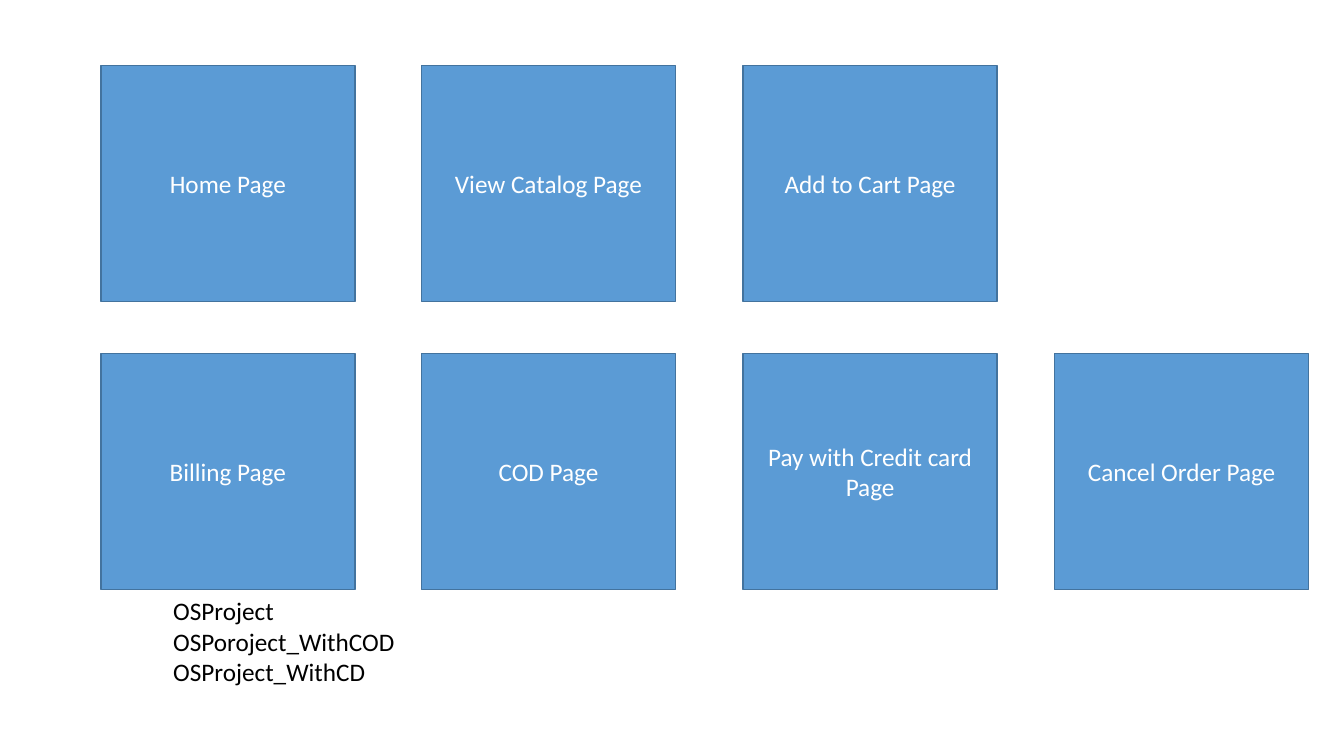
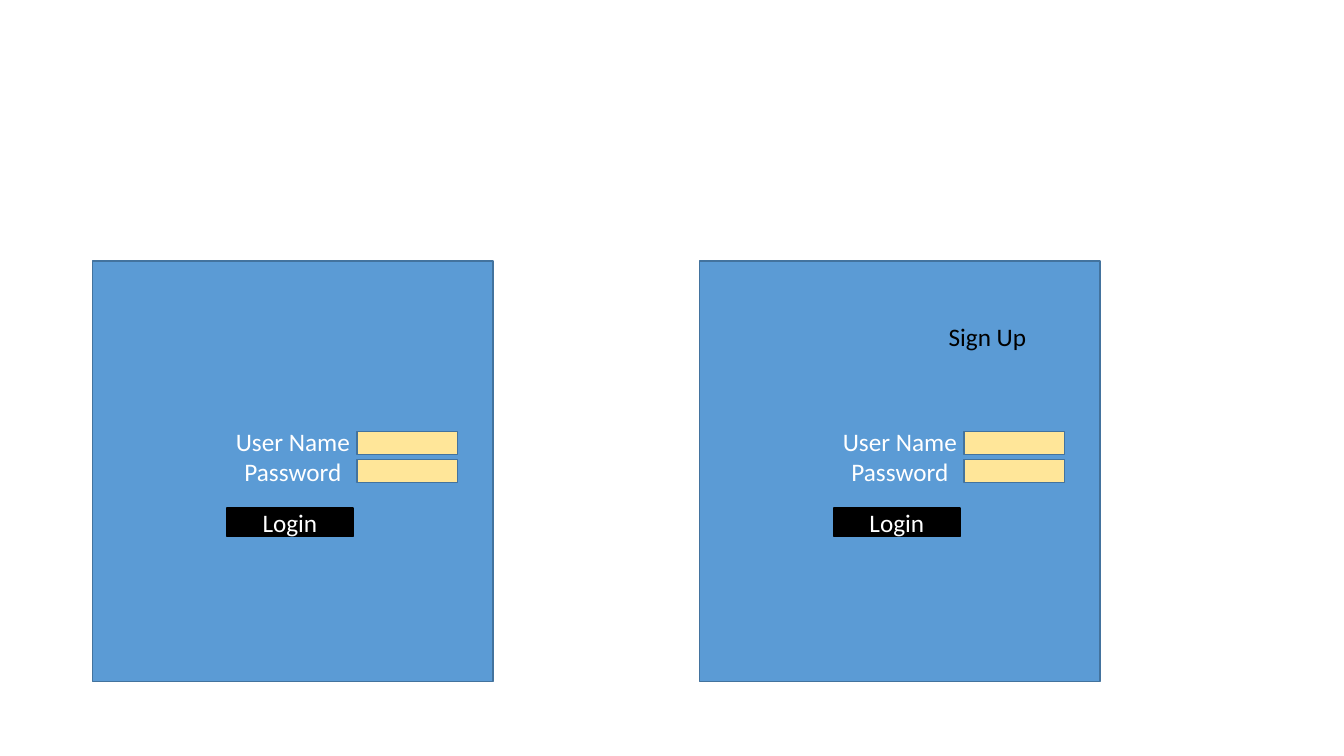
import pptx
import pptx.util
import pptx.dml.color
import pptx.enum.shapes
import pptx.enum.text

Inches = pptx.util.Inches
ANCHOR = pptx.enum.text.MSO_ANCHOR
ALIGN = pptx.enum.text.PP_ALIGN

# Shared style
FONT, SIZE = "Calibri", 18
BLUE, EDGE, CREAM, BLACK, WHITE = "5B9BD5", "43739E", "FFE699", "000000", "FFFFFF"

# Content: pages of the shop, row by row
PAGE_ROWS = [
    ["Home Page", "View Catalog Page", "Add to Cart Page"],
    ["Billing Page", "COD Page", "Pay with Credit card Page", "Cancel Order Page"],
]
PROJECTS = ["OSProject", "OSPoroject_WithCOD", "OSProject_WithCD"]
LOGIN_FIELDS = ["User Name", "Password"]
LOGIN_BUTTON = "Login"
SIGN_UP = "Sign Up"

# Page grid, in inches
COLUMN_LEFTS = [1, 4.18, 7.37, 10.46]
ROW_TOP, ROW_STEP = 0.65, 2.86
PAGE_SIZE = (2.52, 2.34)

# Login panels, in inches; parts are offset from the panel corner
PANEL_LEFTS, PANEL_TOP = [0.92, 6.94], 2.59
PANEL_SIZE = (3.97, 4.17)
BUTTON_OFFSET, BUTTON_SIZE = (1.33, 2.45), (1.25, 0.28)
FIELD_OFFSET, FIELD_SIZE, FIELD_STEP = (2.62, 1.69), (1, 0.23), 0.28
SIGN_UP_OFFSET, SIGN_UP_SIZE = (2.37, 0.55), (1.25, 0.4)


def rgb(code):
    return pptx.dml.color.RGBColor.from_string(code)


def write(frame, lines, color=BLACK, align=ALIGN.LEFT, anchor=ANCHOR.TOP,
          wrap=True, bottom=0.05):
    frame.word_wrap = wrap
    frame.vertical_anchor = anchor
    frame.margin_bottom = Inches(bottom)
    for number, line in enumerate(lines):
        paragraph = frame.paragraphs[0] if number == 0 else frame.add_paragraph()
        paragraph.alignment = align
        run = paragraph.add_run()
        run.text = line
        run.font.name = FONT
        run.font.size = pptx.util.Pt(SIZE)
        run.font.color.rgb = rgb(color)


def add_box(slide, corner, size, lines=(), fill=BLUE, edge=EDGE, bottom=0.05):
    box = slide.shapes.add_shape(pptx.enum.shapes.MSO_SHAPE.RECTANGLE,
                                 *map(Inches, corner + size))
    box.shadow.inherit = False
    box.fill.solid()
    box.fill.fore_color.rgb = rgb(fill)
    box.line.color.rgb = rgb(edge)
    box.line.width = pptx.util.Pt(1)
    write(box.text_frame, lines, color=WHITE, align=ALIGN.CENTER,
          anchor=ANCHOR.MIDDLE, bottom=bottom)


def add_label(slide, corner, size, lines, wrap=True):
    label = slide.shapes.add_textbox(*map(Inches, corner + size))
    write(label.text_frame, lines, wrap=wrap)


def build_page_map(slide):
    for row, pages in enumerate(PAGE_ROWS):
        for left, page in zip(COLUMN_LEFTS, pages):
            add_box(slide, (left, ROW_TOP + row * ROW_STEP), PAGE_SIZE, [page])
    add_label(slide, (1.62, 5.86), (2.4, 1.01), PROJECTS, wrap=False)


def build_login(slide):
    for left in PANEL_LEFTS:
        def inside(offset, down=0):
            return (left + offset[0], PANEL_TOP + offset[1] + down)

        # The deeper bottom inset lifts the field names beside their inputs
        add_box(slide, (left, PANEL_TOP), PANEL_SIZE, LOGIN_FIELDS, bottom=0.35)
        add_box(slide, inside(BUTTON_OFFSET), BUTTON_SIZE, [LOGIN_BUTTON],
                fill=BLACK, edge=BLACK)
        for number in range(len(LOGIN_FIELDS)):
            add_box(slide, inside(FIELD_OFFSET, number * FIELD_STEP), FIELD_SIZE,
                    fill=CREAM)
    # Only the last panel offers sign-up
    add_label(slide, inside(SIGN_UP_OFFSET), SIGN_UP_SIZE, [SIGN_UP])


def main():
    deck = pptx.Presentation()
    deck.slide_width, deck.slide_height = Inches(13.33), Inches(7.5)
    for build in (build_page_map, build_login):
        build(deck.slides.add_slide(deck.slide_layouts[6]))
    deck.save("out.pptx")


if __name__ == "__main__":
    main()
